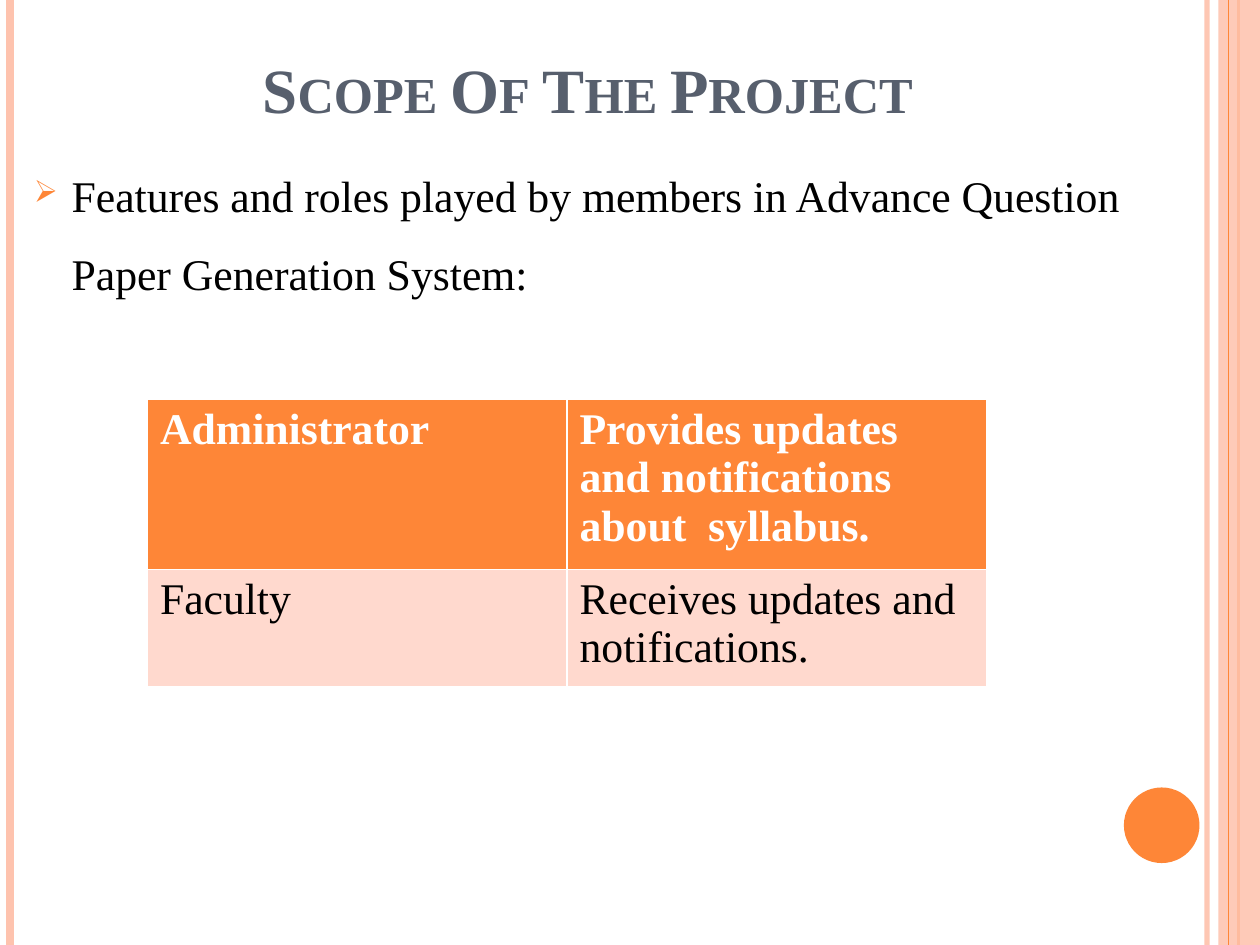
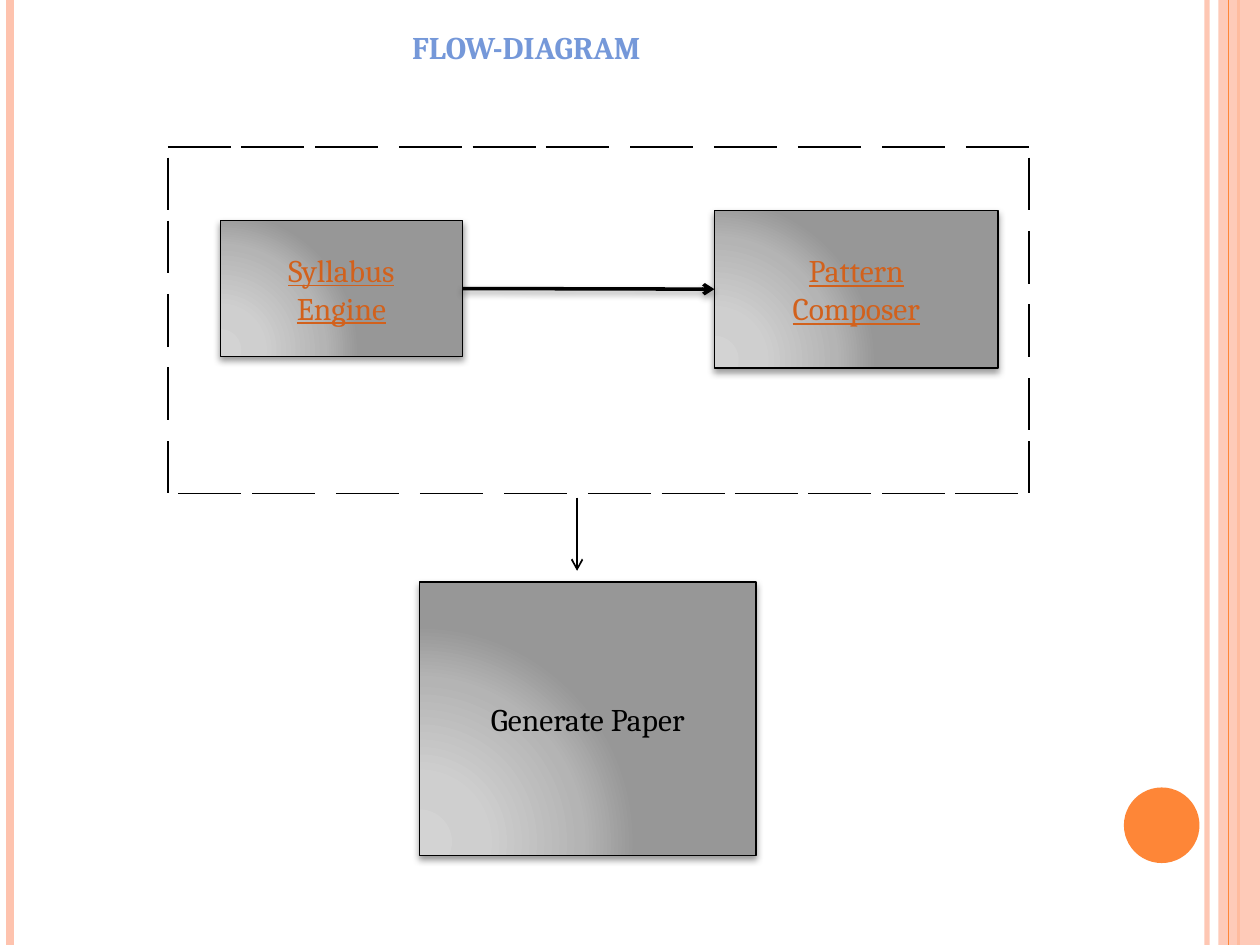
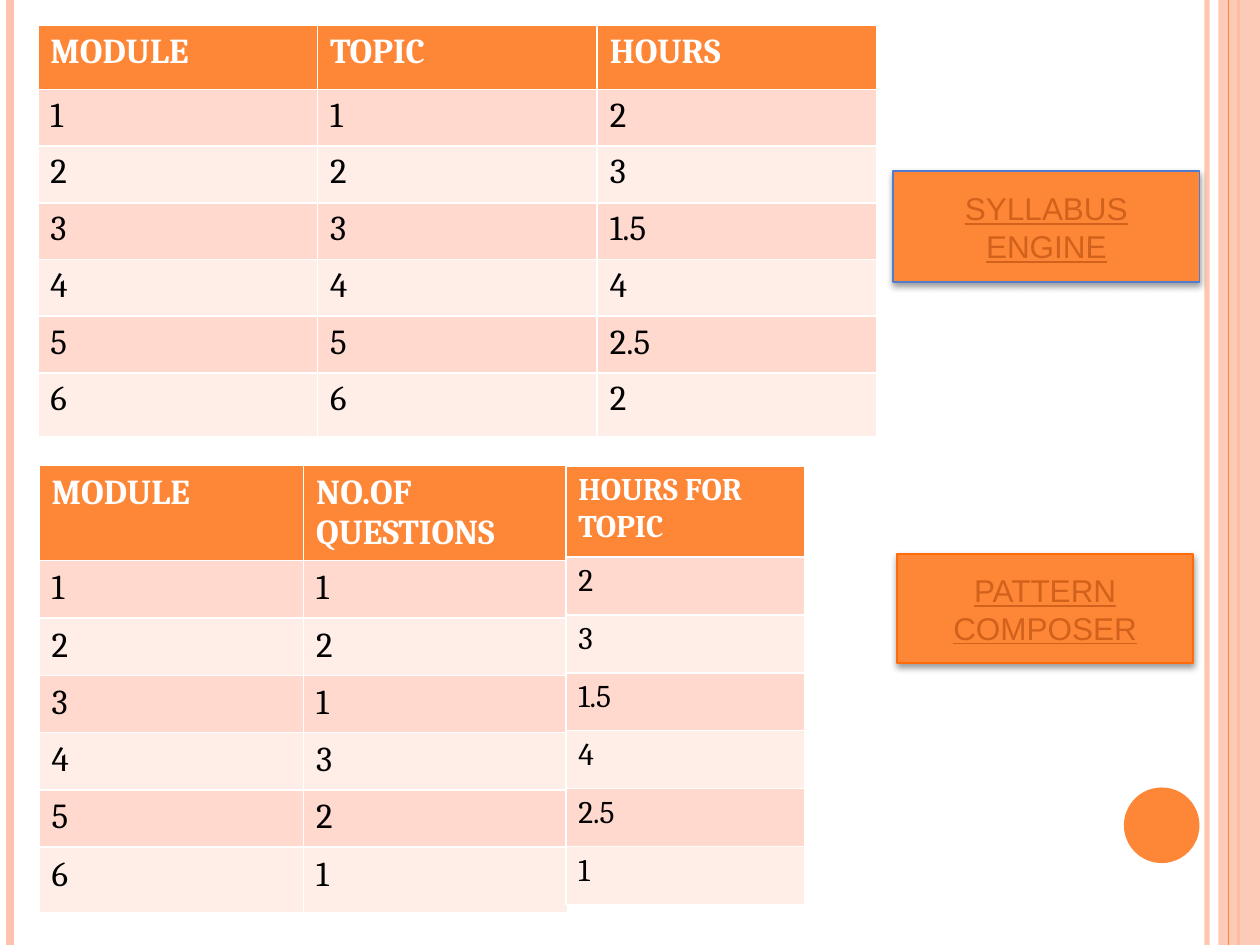
from pptx import Presentation
from pptx.dml.color import RGBColor
from pptx.enum.shapes import MSO_CONNECTOR as Connector, MSO_SHAPE as Preset
from pptx.enum.text import MSO_ANCHOR as Anchor, MSO_AUTO_SIZE as AutoSize, PP_ALIGN as Align
from pptx.oxml import parse_xml
from pptx.oxml.ns import nsdecls, qn
from pptx.util import Inches, Pt
from lxml.etree import SubElement

COLORS = {
    "orange": "FE8637", "peach": "FEC3AE", "band_dark": "FFD9CE", "band_light": "FFEDE8",
    "slate": "575F6D", "blue": "7598D9", "link": "D2611C", "black": "000000",
    "white": "FFFFFF", "blue_edge": "4F7CCF", "orange_edge": "FF6B0A",
}
GREY_STOPS = [(0, "D3D3D3"), (30, "CFCFCF"), (75, "B4B4B4"), (100, "979797")]
SERIF, CAMBRIA, SANS = "Times New Roman", "Cambria", "Arial"
TITLE_ONLY, BLANK = 5, 6


def rgb(name):
    """Return the palette colour called name."""
    return RGBColor.from_string(COLORS[name])


def style_text(paragraph, size, face, color, bold=False, underline=False, align=None):
    """Format a whole paragraph."""
    font = paragraph.font
    font.size, font.name, font.bold = Pt(size), face, bold
    font.color.rgb = rgb(color)
    if underline:
        font.underline = True
    if align is not None:
        paragraph.alignment = align


def set_alpha(properties, percent):
    """Make the solid colours inside a properties element partly opaque."""
    for color in properties.iter(qn("a:srgbClr")):
        SubElement(color, qn("a:alpha")).set("val", str(percent * 1000))


def cast_shadow(effects):
    """Put a soft downward shadow in an effect list."""
    effects.append(parse_xml(
        f'<a:outerShdw {nsdecls("a")} blurRad="{Pt(4)}" dist="{Pt(2)}" dir="5400000" rotWithShape="0">'
        '<a:srgbClr val="000000"><a:alpha val="40000"/></a:srgbClr></a:outerShdw>'))


def add_line(slide, x1, y1, x2, y2, color="black", width=1, arrow=False, shadow=False, alpha=None):
    """Draw a straight line, optionally an arrow."""
    line = slide.shapes.add_connector(
        Connector.STRAIGHT, Inches(x1), Inches(y1), Inches(x2), Inches(y2))
    line.line.color.rgb, line.line.width = rgb(color), Pt(width)
    properties = line._element.spPr
    if alpha:
        set_alpha(properties, alpha)
    if arrow:
        SubElement(line.line._get_or_add_ln(), qn("a:tailEnd")).set("type", "arrow")
    effects = SubElement(properties, qn("a:effectLst"))
    if shadow:
        cast_shadow(effects)
    return line


def add_plain(slide, preset, left, top, width, height, fill=None):
    """Draw a preset shape without outline or shadow."""
    shape = slide.shapes.add_shape(
        preset, Inches(left), Inches(top), Inches(width), Inches(height))
    shape.shadow.inherit = False
    shape.line.fill.background()
    if fill:
        shape.fill.solid()
        shape.fill.fore_color.rgb = rgb(fill)
    return shape


def add_frame(slide):
    """Draw the side bands and disc that every slide shares."""
    add_line(slide, 9.58, 0, 9.58, 7.5, "peach", 3, alpha=93)
    add_line(slide, 0.08, 0, 0.08, 7.5, "peach", 4.5)
    add_line(slide, 9.83, 0, 9.83, 7.5, "orange", 1.5)
    side_band = add_plain(slide, Preset.RECTANGLE, 9.67, 0, 0.33, 7.5, "peach")
    set_alpha(side_band._element.spPr, 87)
    add_line(slide, 9.75, 0, 9.75, 7.5, "orange", 0.75)
    add_plain(slide, Preset.OVAL, 8.92, 6.25, 0.6, 0.6, "orange")


def new_slide(deck, layout):
    """Add a slide with the shared frame."""
    slide = deck.slides.add_slide(deck.slide_layouts[layout])
    add_frame(slide)
    return slide


def set_title(slide, text, left, top, width, height, anchor):
    """Place the title and return its paragraph."""
    title = slide.shapes.title
    title.left, title.top = Inches(left), Inches(top)
    title.width, title.height = Inches(width), Inches(height)
    title.text_frame.text = text
    title.text_frame.vertical_anchor = anchor
    title.text_frame.auto_size = AutoSize.NONE
    return title.text_frame.paragraphs[0]


def add_bullet(slide, text, left, top, width, height):
    """Add a text box with one arrow-bulleted paragraph."""
    box = slide.shapes.add_textbox(Inches(left), Inches(top), Inches(width), Inches(height))
    box.text_frame.word_wrap = True
    paragraph = box.text_frame.paragraphs[0]
    paragraph.text = text
    paragraph.line_spacing, paragraph.space_before = 1.5, Pt(6)
    style_text(paragraph, 25, SERIF, "black")
    properties = paragraph._p.get_or_add_pPr()
    properties.set("marL", str(Inches(0.3)))
    properties.set("indent", str(-Inches(0.3)))
    defaults = properties.find(qn("a:defRPr"))
    for mark in (f'<a:buClr {nsdecls("a")}><a:srgbClr val="{COLORS["orange"]}"/></a:buClr>',
                 f'<a:buSzPct {nsdecls("a")} val="70000"/>',
                 f'<a:buChar {nsdecls("a")} char="➢"/>'):
        defaults.addprevious(parse_xml(mark))


def add_block(slide, lines, left, top, width, height, face=CAMBRIA, color="link",
              fill=None, edge="black"):
    """Draw a shadowed, labelled block, grey-shaded unless a fill is given."""
    block = add_plain(slide, Preset.RECTANGLE, left, top, width, height, fill)
    block.line.color.rgb, block.line.width = rgb(edge), Pt(1)
    properties = block._element.spPr
    if not fill:
        stops = "".join(f'<a:gs pos="{place * 1000}"><a:srgbClr val="{tone}"/></a:gs>'
                        for place, tone in GREY_STOPS)
        properties.find(qn("a:prstGeom")).addnext(parse_xml(
            f'<a:gradFill {nsdecls("a")} rotWithShape="1"><a:gsLst>{stops}</a:gsLst>'
            '<a:path path="circle"><a:fillToRect l="5000" t="100000" r="120000" b="10000"/>'
            '</a:path></a:gradFill>'))
    cast_shadow(properties.find(qn("a:effectLst")))
    label = block.text_frame
    label.text = "\n".join(lines)
    label.vertical_anchor = Anchor.MIDDLE
    for paragraph in label.paragraphs:
        style_text(paragraph, 18, face, color, underline=color == "link", align=Align.CENTER)
    return block


def add_grid(slide, rows, left, top, col_width, heights, size, face=CAMBRIA, inset=0.05):
    """Add a table with an orange header and banded rows."""
    grid = slide.shapes.add_table(
        len(rows), len(rows[0]), Inches(left), Inches(top),
        Inches(col_width * len(rows[0])), Inches(sum(heights))).table
    for column in grid.columns:
        column.width = Inches(col_width)
    for index, (values, height) in enumerate(zip(rows, heights)):
        grid.rows[index].height = Inches(height)
        header = index == 0
        fill = "orange" if header else ("band_light", "band_dark")[index % 2]
        for cell, value in zip(grid.rows[index].cells, values):
            cell.text = value
            cell.margin_top = cell.margin_bottom = Inches(inset)
            cell.fill.solid()
            cell.fill.fore_color.rgb = rgb(fill)
            style_text(cell.text_frame.paragraphs[0], size, face,
                       "white" if header else "black", bold=header)


def add_dashed_border(slide):
    """Draw the dashes around the two engines, placed on a twelfth-inch grid."""
    top_starts = (16, 23, 30, 38, 45, 52, 60, 68, 76, 84, 92)
    bottom_starts = (17, 24, 32, 40, 48, 56, 63, 70, 77, 84, 91)
    left_starts = (15, 21, 28, 35, 42)
    right_starts = (15, 22, 29, 36, 42)
    for y, starts in ((14, top_starts), (47, bottom_starts)):
        for x in starts:
            add_line(slide, x / 12, y / 12, (x + 6) / 12, y / 12)
    for x, starts in ((16, left_starts), (98, right_starts)):
        for y in starts:
            add_line(slide, x / 12, y / 12, x / 12, (y + 5) / 12)


def build_scope(deck):
    """Build the project scope slide."""
    slide = new_slide(deck, TITLE_ONLY)
    heading = set_title(slide, "Scope Of The Project", 0.58, 0.25, 8.17, 0.8, Anchor.BOTTOM)
    style_text(heading, 36, SERIF, "slate", bold=True, align=Align.CENTER)
    heading.font._element.set("cap", "small")
    add_bullet(slide, "Features and roles played by members in Advance Question "
               "Paper Generation System:", 0.17, 1.08, 9.42, 6)
    roles = [("Administrator", "Provides updates and notifications about  syllabus."),
             ("Faculty", "Receives updates and notifications.")]
    add_grid(slide, roles, 1.17, 3.17, 3.33, [1.24, 0.86], 25, SERIF)


def build_flow(deck):
    """Build the flow diagram slide."""
    slide = new_slide(deck, TITLE_ONLY)
    heading = set_title(slide, "FLOW-DIAGRAM", 3.17, 0.17, 3, 0.4, Anchor.TOP)
    style_text(heading, 18, CAMBRIA, "blue", bold=True, align=Align.LEFT)
    add_dashed_border(slide)
    composer = add_block(slide, ["Pattern", "Composer"], 5.67, 1.67, 2.25, 1.25)
    engine = add_block(slide, ["Syllabus", "Engine"], 1.75, 1.75, 1.92, 1.08)
    add_block(slide, ["Generate Paper"], 3.33, 4.62, 2.67, 2.17, color="black")
    hand_over = add_line(slide, 3.67, 2.29, 5.67, 2.29, width=2, arrow=True, shadow=True)
    hand_over.begin_connect(engine, 3)
    hand_over.end_connect(composer, 1)
    add_line(slide, 4.58, 3.95, 4.58, 4.53, arrow=True)


def build_tables(deck):
    """Build the slide with the syllabus and pattern tables."""
    slide = new_slide(deck, BLANK)
    modules = "123456"
    topic_hours = ["2", "3", "1.5", "4", "2.5", "2"]
    question_counts = "121321"
    pattern_hours = ["2", "3", "1.5", "4", "2.5", "1"]
    add_grid(slide, [("MODULE", "TOPIC", "HOURS"), *zip(modules, modules, topic_hours)],
             0.3, 0.2, 2.22, [0.51] + [0.45] * 5 + [0.51], 20)
    add_block(slide, ["SYLLABUS ENGINE"], 7.09, 1.36, 2.43, 0.88, SANS,
              fill="orange", edge="blue_edge")
    add_grid(slide, [("MODULE", "NO.OF QUESTIONS"), *zip(modules, question_counts)],
             0.31, 3.69, 2.1, [0.74] + [0.455] * 5 + [0.52], 20, inset=0.06)
    add_block(slide, ["PATTERN COMPOSER"], 7.12, 4.4, 2.35, 0.86, SANS,
              fill="orange", edge="orange_edge")
    add_grid(slide, [("HOURS FOR TOPIC",), *zip(pattern_hours)],
             4.49, 3.7, 1.9, [0.72] + [0.46] * 6, 18)


def main():
    """Build and save the deck."""
    deck = Presentation()
    deck.slide_width, deck.slide_height = Inches(10), Inches(7.5)
    build_scope(deck)
    build_flow(deck)
    build_tables(deck)
    deck.save("out.pptx")


if __name__ == "__main__":
    main()
